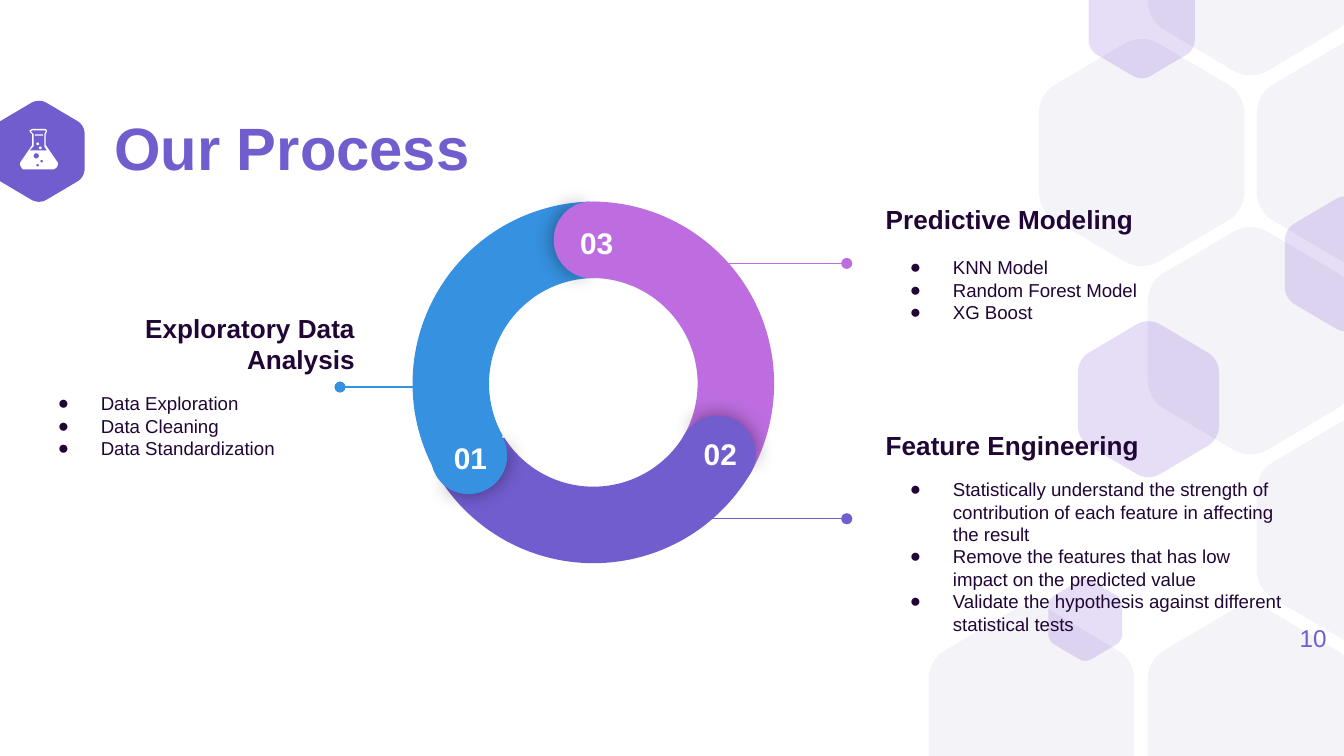
"""Build the "Our Process" slide: a three-part ring with annotated stages."""
import math
from dataclasses import dataclass
from typing import NamedTuple

import lxml.etree
import pptx
import pptx.dml.color
import pptx.enum.shapes
import pptx.enum.text
import pptx.oxml.ns
import pptx.util

Inches = pptx.util.Inches
Pt = pptx.util.Pt
Align = pptx.enum.text.PP_ALIGN
Anchor = pptx.enum.text.MSO_ANCHOR
Preset = pptx.enum.shapes.MSO_SHAPE
qn = pptx.oxml.ns.qn


@dataclass(frozen=True)
class Theme:
    font: str = "Arial"
    ink: str = "210635"
    white: str = "FFFFFF"
    violet: str = "725DCF"
    orchid: str = "BD6DE0"
    blue: str = "3691E0"
    mist: str = "F4F3F8"
    glaze: str = "5322C9"
    shadow: str = "000000"
    title: int = 32
    label: int = 16
    heading: int = 14
    number: int = 13
    body: int = 10


class Box(NamedTuple):
    left: float
    top: float
    width: float
    height: float

    def emu(self) -> list:
        return [Inches(value) for value in self]


class Hexagon(NamedTuple):
    left: float
    top: float
    width: float
    color: str
    opacity: int = 100


class Stage(NamedTuple):
    number: str
    heading: str
    items: tuple
    box: Box
    align: Align
    gap: float
    color: str
    pointer: tuple
    arc: Box
    arc_turn: float
    arc_adjust: tuple
    cap: Box
    cap_turn: float
    label: tuple


THEME = Theme()
WIDTH, HEIGHT = 10, 5.625
HEX_RATIO = 1.105
CORNER = ((1, 0.33), (1, 0.275), (0.967, 0.222), (0.915, 0.198))
PEAK = ((0.582, 0.02), (0.53, -0.007), (0.47, -0.007), (0.418, 0.02))

HEXAGONS = (
    Hexagon(-0.05, 0.75, 0.68, THEME.violet),
    *(Hexagon(left, top, 1.53, THEME.mist) for left, top in (
        (6.91, 4.5), (8.54, 4.5), (9.35, 0.29), (8.54, -1.13),
        (8.54, 1.69), (7.73, 0.29), (9.35, 3.1))),
    *(Hexagon(left, top, width, THEME.glaze, 15) for left, top, width in (
        (9.56, 1.46, 0.91), (7.8, 4.31, 0.55), (8.1, -0.29, 0.79), (8.02, 2.39, 1.05))),
)

STAGES = (
    Stage("03", "Predictive Modeling", ("KNN Model", "Random Forest Model", "XG Boost"),
          Box(6.49, 1.33, 2.69, 1.26), Align.LEFT, 11.5, THEME.orchid, (5.04, 6.3, 1.96),
          Box(3.05, 1.5, 2.71, 2.71), 60, (126.22, 197.82, 0.21),
          Box(4.12, 1.5, 0.56, 0.57), 0, (4.19, 1.57)),
    Stage("02", "Feature Engineering",
          ("Statistically understand the strength of contribution of each feature in affecting the result",
           "Remove the features that has low impact on the predicted value",
           "Validate the hypothesis against different statistical tests"),
          Box(6.49, 3.17, 3.15, 1.58), Align.LEFT, 9.2, THEME.violet, (5.04, 6.3, 3.86),
          Box(3.06, 1.48, 2.71, 2.71), 180, (126.22, 196.63, 0.21),
          Box(5.06, 3.09, 0.56, 0.57), 120, (5.11, 3.14)),
    Stage("01", "Exploratory Data Analysis",
          ("Data Exploration", "Data Cleaning", "Data Standardization"),
          Box(0.15, 2.24, 2.59, 1.26), Align.RIGHT, 9.2, THEME.blue, (3.15, 2.53, 2.88),
          Box(3.07, 1.5, 2.71, 2.71), 300, (126.22, 197.03, 0.21),
          Box(3.21, 3.11, 0.56, 0.57), 240, (3.25, 3.17)),
)

GLASS = ((0.24, 0.96), (0.34, 0.96), (0.35, 0.97), (0.35, 0.98), (0.34, 1), (0.34, 1.08),
         (0.43, 1.21), (0.43, 1.23), (0.42, 1.25), (0.4, 1.26), (0.17, 1.26), (0.16, 1.25),
         (0.15, 1.23), (0.15, 1.21), (0.24, 1.08), (0.24, 1), (0.22, 0.98), (0.22, 0.97))
HOLLOW = ((0.24, 0.97), (0.34, 0.97), (0.34, 0.98), (0.33, 1), (0.33, 1.09), (0.35, 1.12),
          (0.22, 1.12), (0.25, 1.09), (0.25, 1), (0.23, 0.98))
BUBBLES = ((0.27, 1.16, 0.02), (0.31, 1.2, 0.01), (0.28, 1.23, 0.01))


def rgb(color: str):
    return pptx.dml.color.RGBColor.from_string(color)


def paint(shape, color: str, opacity: int = 100) -> None:
    shape.shadow.inherit = False
    shape.fill.solid()
    shape.fill.fore_color.rgb = rgb(color)
    shape.line.fill.background()
    if opacity < 100:
        tint = shape.element.spPr.find(qn("a:solidFill"))[0]
        lxml.etree.SubElement(tint, qn("a:alpha"), val=str(opacity * 1000))


def bezier(controls: tuple, steps: int = 8) -> list:
    def blend(axis: int, t: float) -> float:
        return sum(math.comb(3, i) * (1 - t) ** (3 - i) * t ** i * controls[i][axis] for i in range(4))
    return [(blend(0, n / steps), blend(1, n / steps)) for n in range(steps + 1)]


def add_outline(slide, contours: list, color: str, opacity: int = 100) -> None:
    scaled = [[(Inches(x), Inches(y)) for x, y in contour] for contour in contours]
    builder = slide.shapes.build_freeform(*scaled[0][0])
    builder.add_line_segments(scaled[0][1:])
    for contour in scaled[1:]:
        builder.move_to(*contour[0])
        builder.add_line_segments(contour[1:])
    paint(builder.convert_to_shape(), color, opacity)


def add_hexagon(slide, hexagon: Hexagon) -> None:
    corner = bezier(CORNER)
    upper = corner + bezier(PEAK) + [(1 - x, y) for x, y in reversed(corner)]
    unit = upper + [(1 - x, 1 - y) for x, y in upper]
    points = [(hexagon.left + x * hexagon.width,
               min(max(hexagon.top + y * hexagon.width * HEX_RATIO, 0), HEIGHT)) for x, y in unit]
    add_outline(slide, [points], hexagon.color, hexagon.opacity)


def add_preset(slide, preset, box: Box, color: str, turn: float = 0, adjust: tuple = ()):
    shape = slide.shapes.add_shape(preset, *box.emu())
    shape.rotation = turn
    for index, value in enumerate(adjust):
        shape.adjustments[index] = value
    paint(shape, color)
    return shape


def add_flask(slide) -> None:
    turns = [math.tau * n / 16 for n in range(16)]
    bubbles = [[(x + r * math.cos(a), y + r * math.sin(a)) for a in turns] for x, y, r in BUBBLES]
    add_outline(slide, [GLASS, HOLLOW, *bubbles], THEME.white)
    for left, top in ((0.29, 1.09), (0.27, 1.06)):
        add_preset(slide, Preset.OVAL, Box(left, top, 0.02, 0.02), THEME.white)
    add_preset(slide, Preset.ROUNDED_RECTANGLE, Box(0.26, 1, 0.06, 0.01), THEME.white)


def add_run(paragraph, text: str, size: int, color: str, bold: bool = False) -> None:
    run = paragraph.add_run()
    run.text = text
    run.font.name, run.font.size, run.font.bold = THEME.font, Pt(size), bold
    run.font.color.rgb = rgb(color)


def set_frame(shape, box: Box, inset: float, anchor: Anchor):
    shape.left, shape.top, shape.width, shape.height = box.emu()
    frame = shape.text_frame
    frame.word_wrap = True
    frame.auto_size = pptx.enum.text.MSO_AUTO_SIZE.NONE
    frame.vertical_anchor = anchor
    frame.margin_left = frame.margin_right = frame.margin_top = frame.margin_bottom = Inches(inset)
    return frame


def raise_to_front(shape) -> None:
    shape.element.getparent().append(shape.element)


def add_text(slide, text: str, box: Box, inset: float, anchor: Anchor, align: Align,
             size: int, color: str, bold: bool = False) -> None:
    frame = set_frame(slide.shapes.add_textbox(*box.emu()), box, inset, anchor)
    frame.paragraphs[0].alignment = align
    add_run(frame.paragraphs[0], text, size, color, bold)


def fill_stage(placeholder, stage: Stage) -> None:
    raise_to_front(placeholder)
    frame = set_frame(placeholder, stage.box, 0.1, Anchor.MIDDLE)
    heading = frame.paragraphs[0]
    heading.alignment = stage.align
    heading.space_before, heading.space_after = Pt(0), Pt(stage.gap)
    properties = heading._p.get_or_add_pPr()
    properties.set("marL", "0")
    properties.set("indent", "0")
    lxml.etree.SubElement(properties, qn("a:buNone"))
    add_run(heading, stage.heading, THEME.heading, THEME.ink, True)
    for text in stage.items:
        item = frame.add_paragraph()
        item.alignment = Align.LEFT
        item.space_before = Pt(0)
        properties = item._p.get_or_add_pPr()
        properties.set("marL", str(Inches(0.5)))
        properties.set("indent", str(Inches(-0.32)))
        tint = lxml.etree.SubElement(properties, qn("a:buClr"))
        lxml.etree.SubElement(tint, qn("a:srgbClr"), val=THEME.ink)
        lxml.etree.SubElement(properties, qn("a:buFont"), typeface=THEME.font)
        lxml.etree.SubElement(properties, qn("a:buChar"), char="●")
        add_run(item, text, THEME.body, THEME.ink)


def add_pointer(slide, stage: Stage) -> None:
    start, end, y = stage.pointer
    pointer = slide.shapes.add_connector(
        pptx.enum.shapes.MSO_CONNECTOR.STRAIGHT, Inches(start), Inches(y), Inches(end), Inches(y))
    pointer.line.color.rgb = rgb(stage.color)
    pointer.line.width = Pt(0.75)
    properties = pointer.element.spPr
    lxml.etree.SubElement(properties.find(qn("a:ln")), qn("a:tailEnd"), type="oval")
    lxml.etree.SubElement(properties, qn("a:effectLst"))


def add_cap(slide, stage: Stage) -> None:
    shaded = add_preset(slide, Preset.PIE, stage.cap, stage.color, stage.cap_turn + 0.7, (61.9, 149.96))
    shadow = lxml.etree.SubElement(shaded.element.spPr.find(qn("a:effectLst")), qn("a:outerShdw"),
                                   blurRad=str(Pt(11.2)), dist="0", dir="0")
    tint = lxml.etree.SubElement(shadow, qn("a:srgbClr"), val=THEME.shadow)
    lxml.etree.SubElement(tint, qn("a:alpha"), val="43000")
    add_preset(slide, Preset.PIE, stage.cap, stage.color, (stage.cap_turn + 180) % 360, (40.28, 171.84))


def main() -> None:
    deck = pptx.Presentation()
    deck.slide_width, deck.slide_height = Inches(WIDTH), Inches(HEIGHT)
    slide = deck.slides.add_slide(deck.slide_layouts.get_by_name("Comparison"))
    title, *bodies = slide.placeholders
    for hexagon in HEXAGONS:
        add_hexagon(slide, hexagon)
    raise_to_front(title)
    heading = set_frame(title, Box(0.85, 0.91, 6.57, 0.43), 0, Anchor.MIDDLE).paragraphs[0]
    heading.alignment, heading.line_spacing = Align.LEFT, 0.9
    add_run(heading, "Our Process", THEME.title, THEME.violet, True)
    add_text(slide, "10", Box(9.27, 4.53, 0.6, 0.43), 0, Anchor.MIDDLE, Align.RIGHT,
             THEME.number, THEME.violet)
    add_flask(slide)
    for body, stage in zip(bodies, STAGES):
        fill_stage(body, stage)
        add_pointer(slide, stage)
    for spare in bodies[len(STAGES):]:
        spare.element.getparent().remove(spare.element)
    for stage in STAGES:
        add_preset(slide, Preset.BLOCK_ARC, stage.arc, stage.color, stage.arc_turn, stage.arc_adjust)
    for stage in STAGES:
        add_cap(slide, stage)
    for stage in STAGES:
        add_text(slide, stage.number, Box(*stage.label, 0.5, 0.26), 0.1, Anchor.TOP, Align.CENTER,
                 THEME.label, THEME.white, True)
    deck.save("out.pptx")


if __name__ == "__main__":
    main()
